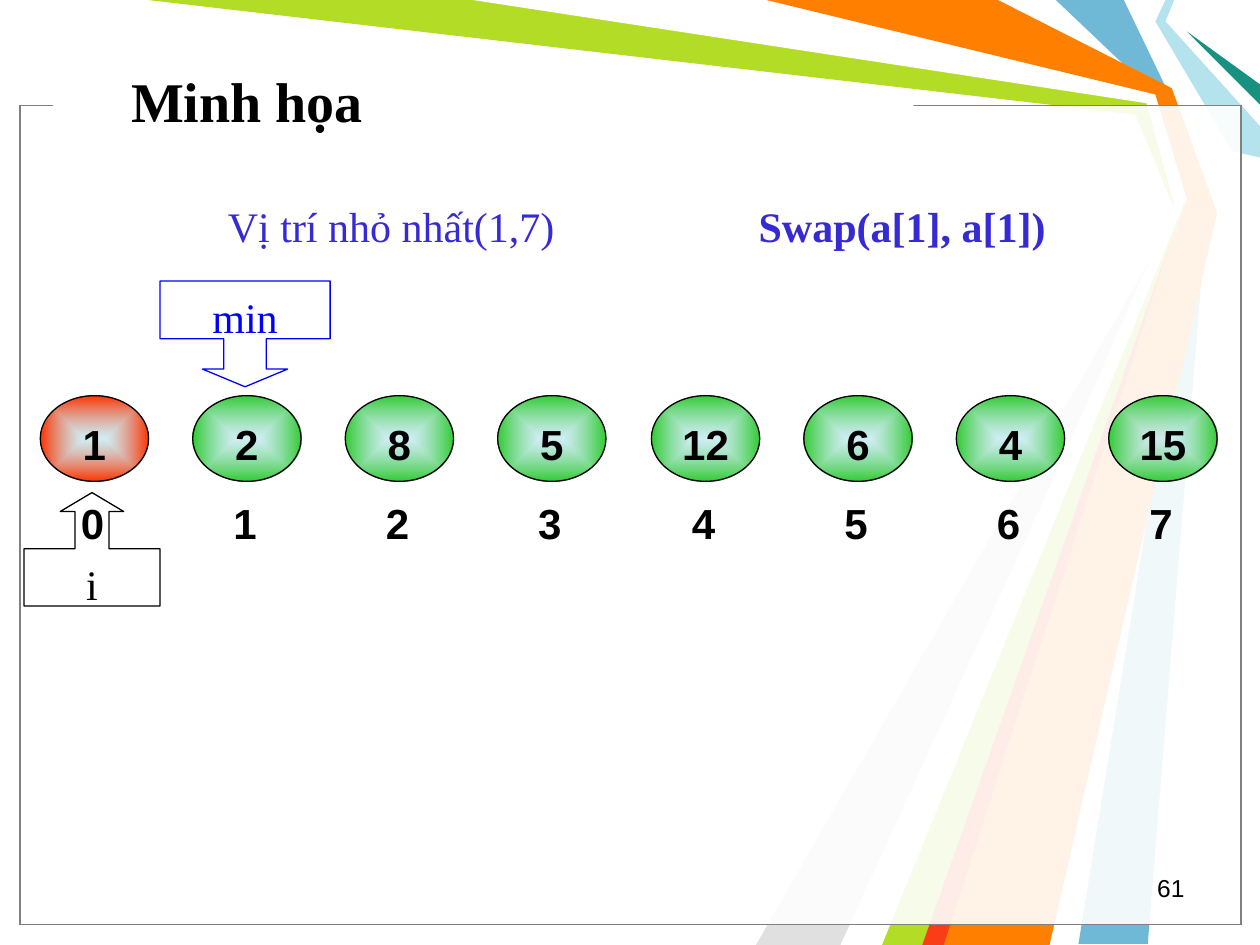
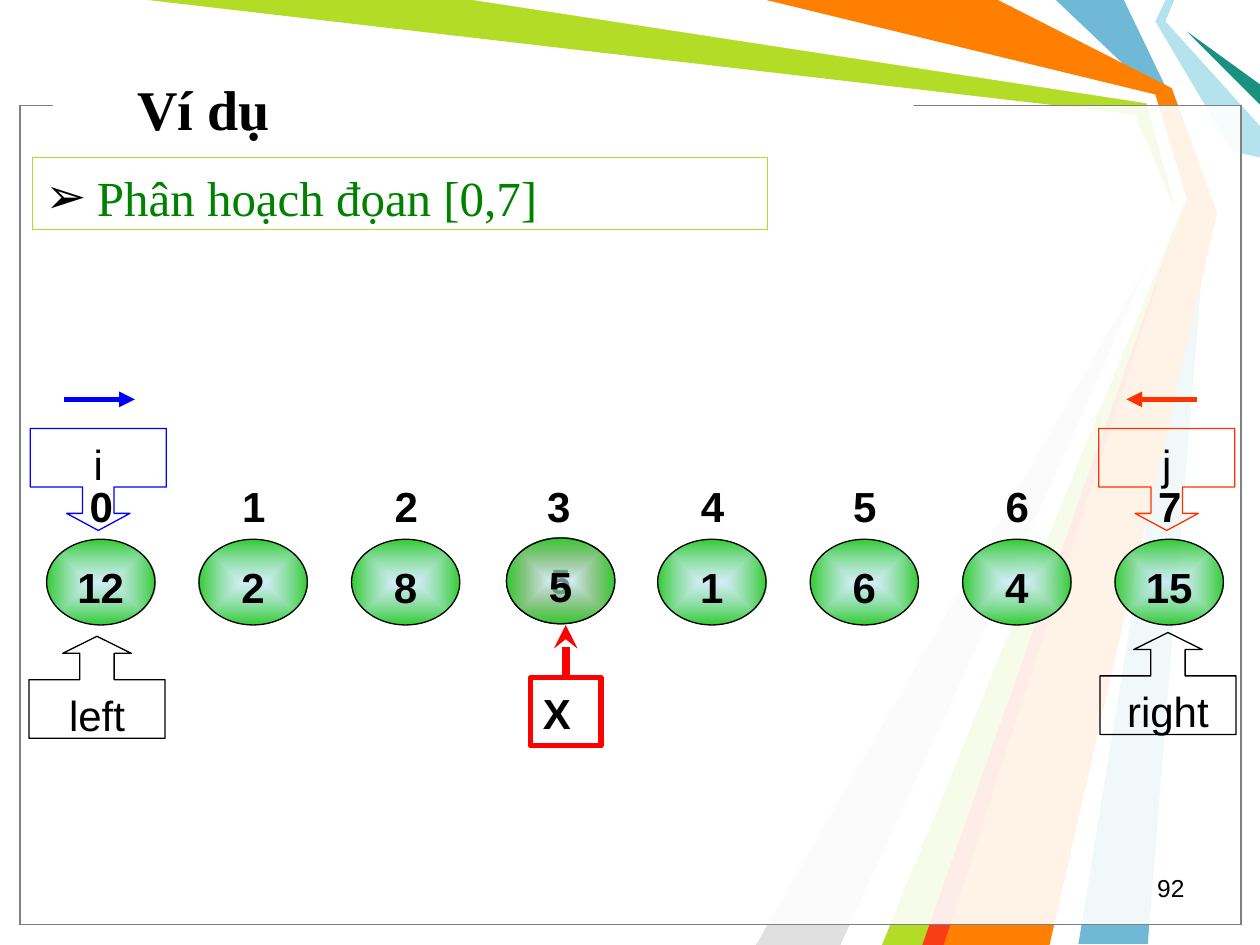
import pptx
import pptx.util
import pptx.oxml
import pptx.oxml.ns
import pptx.dml.color
import pptx.enum.shapes
import pptx.enum.text
from dataclasses import dataclass

PX = 9144
KIND = pptx.enum.shapes.MSO_SHAPE
SIDE = pptx.enum.text.PP_ALIGN
HOLD = pptx.enum.text.MSO_ANCHOR


@dataclass(frozen=True)
class Theme:
    serif: str = "Times New Roman"
    sans: str = "Arial"
    black: str = "000000"
    white: str = "FFFFFF"
    gray: str = "808080"
    blue: str = "0000FF"
    red: str = "FF3300"
    pure: str = "FF0000"
    ember: str = "FB2603"
    green: str = "33CC33"
    lime: str = "B3DC27"
    leaf: str = "008200"
    violet: str = "362AD4"
    ice: str = "B4E3EE"
    sky: str = "6FB9D7"
    silver: str = "E0E0E0"
    teal: str = "189180"
    orange: str = "FF7F00"
    flame: str = "F93D17"
    head: int = 32
    list: int = 28
    text: int = 24
    small: int = 20
    foot: int = 14
    thin: float = 0.75
    bold: float = 3
    heavy: float = 4.5


T = Theme()

RAYS = [
    (T.sky, [(892, 0), (929, 77), (958, 167), (911, 749), (856, 749), (950, 167), (917, 75), (838, 0)]),
    (T.lime, [(117, 0), (383, 0), (914, 78), (942, 169), (742, 750), (692, 750), (935, 173), (901, 91)]),
    (T.silver, [(667, 750), (927, 181), (600, 750)]),
    (T.white, [(375, 0), (910, 82), (932, 162), (675, 750), (700, 750), (941, 158), (917, 75), (600, 0)]),
    (T.ice, [(925, 0), (917, 17), (978, 120), (1000, 125), (1000, 100), (925, 17), (932, 0)]),
    (T.teal, [(1000, 83), (942, 25), (1000, 67)]),
    (T.orange, [(608, 0), (792, 0), (930, 70), (966, 169), (833, 750), (733, 750), (942, 158), (917, 75)]),
    (T.flame, [(732, 750), (932, 183), (749, 750)]),
]
FRAME = (16, 84, 969, 650)
GAP = (42, 74, 683, 17)
PAGE = (717, 687, 233, 33)
ROW = 848
NODE = (86, 68)
MARK = (87, 66)
UP, DOWN = KIND.UP_ARROW_CALLOUT, KIND.DOWN_ARROW_CALLOUT
RISE = (0.336, 0.336, 0.167, 0.575)
FALL = (0.31, 0.31, 0.167, 0.575)

SORT = {
    "title": "Minh họa", "head": (94, 17, 689, 125), "page": "61",
    "nodes": ["1", "2", "8", "5", "12", "6", "4", "15"],
    "start": (32, 314), "marks": (30, 377), "done": [0], "skip": [],
    "calls": [
        ("i", UP, (19, 391, 108, 90), (0.301, 0.28, 0.167, 0.505), T.black, T.black, T.serif),
        ("min", DOWN, (127, 223, 135, 84), (0.402, 0.402, 0.167, 0.546), T.blue, T.blue, T.serif),
    ],
    "arrows": [],
}
STEPS = [
    ("Vị trí nhỏ nhất(1,7)", (139, 151, 343, 50), False),
    ("Swap(a[1], a[1])", (539, 151, 354, 50), True),
]
PART = {
    "title": "Ví dụ", "head": (99, 47, 689, 78), "page": "92",
    "nodes": ["12", "2", "8", "5", "1", "6", "4", "15"],
    "start": (37, 428), "marks": (37, 364), "done": [], "skip": [3],
    "calls": [
        ("left", UP, (23, 505, 108, 81), RISE, T.black, T.black, T.sans),
        ("right", UP, (873, 502, 108, 81), RISE, T.black, T.black, T.sans),
        ("i", DOWN, (24, 340, 108, 81), FALL, T.blue, T.black, T.sans),
        ("j", DOWN, (872, 340, 108, 81), FALL, T.red, T.black, T.sans),
    ],
    "arrows": [((51, 317), (107, 317), T.blue), ((950, 317), (894, 317), T.red)],
}
TASK = ("Phân hoạch đọan [0,7]", (26, 125, 583, 57))
PIVOT = ("5", (402, 427) + NODE)
KEY = ("X", (421, 538, 56, 54))
TIP = (449, 496)


def rgb(code):
    return pptx.dml.color.RGBColor.from_string(code)


def emu(box):
    return [n * PX for n in box]


def xml(text):
    space = pptx.oxml.ns.nsdecls("a")
    return pptx.oxml.parse_xml(text.replace(">", f" {space}>", 1) if "/>" not in text.split(">")[0] + ">"
                               else text.replace("/>", f" {space}/>", 1))


def place(shape, box):
    shape.left, shape.top, shape.width, shape.height = emu(box)


def write(shape, text, size=T.text, font=T.sans, color=T.black, bold=False,
          align=SIDE.CENTER, anchor=HOLD.TOP, inset=8):
    frame = shape.text_frame
    frame.text = text
    frame.word_wrap = True
    frame.auto_size = pptx.enum.text.MSO_AUTO_SIZE.NONE
    frame.vertical_anchor = anchor
    frame.margin_left = frame.margin_right = 10 * PX
    frame.margin_top, frame.margin_bottom = inset * PX, 0
    para = frame.paragraphs[0]
    para.alignment = align
    para.space_before = pptx.util.Pt(0)
    for run in para.runs:
        run.font.size = pptx.util.Pt(size)
        run.font.name = font
        run.font.bold = bold
        run.font.color.rgb = rgb(color)


def paint(shape, fill=None, line=None, width=T.thin):
    shape.shadow.inherit = False
    if fill:
        shape.fill.solid()
        shape.fill.fore_color.rgb = rgb(fill)
    else:
        shape.fill.background()
    if line:
        shape.line.color.rgb = rgb(line)
        shape.line.width = pptx.util.Pt(width)
    else:
        shape.line.fill.background()


def draw(slide, kind, box, fill=None, line=None, width=T.thin):
    shape = slide.shapes.add_shape(kind, *emu(box))
    paint(shape, fill, line, width)
    return shape


def glow(shape, inner, outer, alpha=100):
    old = shape.element.xpath("./p:spPr/a:noFill")[0]
    old.getparent().replace(old, xml(
        f'<a:gradFill rotWithShape="1"><a:gsLst>'
        f'<a:gs pos="0"><a:srgbClr val="{inner}"><a:alpha val="{alpha * 1000}"/></a:srgbClr></a:gs>'
        f'<a:gs pos="100000"><a:srgbClr val="{outer}"/></a:gs></a:gsLst>'
        f'<a:path path="shape"><a:fillToRect l="50000" t="50000" r="50000" b="50000"/></a:path>'
        f'</a:gradFill>'))


def ball(slide, text, box, color=T.green):
    shape = draw(slide, KIND.OVAL, box, line=T.black)
    glow(shape, T.ice, color, 60)
    write(shape, text, bold=True)


def arrow(slide, start, end, color, width=T.bold, head="triangle"):
    link = slide.shapes.add_connector(pptx.enum.shapes.MSO_CONNECTOR.STRAIGHT, *emu(start + end))
    link.line.color.rgb = rgb(color)
    link.line.width = pptx.util.Pt(width)
    link.get_or_add_ln().append(xml(f'<a:tailEnd type="{head}"/>'))
    link.element.spPr.append(xml("<a:effectLst/>"))
    return link


def adorn(slide, master):
    parts = []
    for color, points in RAYS:
        path = slide.shapes.build_freeform(*points[0], scale=PX)
        path.add_line_segments(points[1:], close=True)
        ray = path.convert_to_shape()
        paint(ray, color)
        parts.append(ray)
    for edge in (T.black, T.gray):
        pane = draw(slide, KIND.RECTANGLE, FRAME, T.white, edge)
        tint = pane.element.xpath("./p:spPr/a:solidFill/a:srgbClr")[0]
        tint.append(xml('<a:alpha val="69000"/>'))
        parts.append(pane)
    parts.append(draw(slide, KIND.RECTANGLE, GAP, T.white))
    for num, part in enumerate(parts, 100):
        part.element.xpath(".//p:cNvPr")[0].set("id", str(num))
        master.shapes.element.append(part.element)


def array(slide, data):
    title = slide.shapes.title
    place(title, data["head"])
    write(title, data["title"], T.head, T.serif, bold=True,
          align=SIDE.LEFT, anchor=HOLD.MIDDLE, inset=0)
    page = slide.shapes.add_textbox(*emu(PAGE))
    write(page, data["page"], T.foot, align=SIDE.RIGHT, inset=6)
    last = len(data["nodes"]) - 1
    for num, value in enumerate(data["nodes"]):
        step = round(ROW * num / last)
        (left, top), (side, base) = data["start"], data["marks"]
        if num not in data["skip"]:
            color = T.red if num in data["done"] else T.green
            ball(slide, value, (left + step, top) + NODE, color)
        mark = draw(slide, KIND.OVAL, (side + step, base) + MARK)
        write(mark, str(num), bold=True)
    for text, kind, box, bends, edge, color, font in data["calls"]:
        call = draw(slide, kind, box, line=edge)
        for num, bend in enumerate(bends):
            call.adjustments[num] = bend
        write(call, text, font=font, color=color)
    for start, end, color in data["arrows"]:
        arrow(slide, start, end, color)


def pivot(slide):
    text, box = PIVOT
    under = draw(slide, KIND.OVAL, box, line=T.black)
    glow(under, T.white, T.ember)
    write(under, text, T.small, bold=True, anchor=HOLD.MIDDLE, inset=0)
    name, spot = KEY
    key = draw(slide, KIND.RECTANGLE, spot, line=T.pure, width=T.bold)
    write(key, name, bold=True, align=SIDE.LEFT)
    link = arrow(slide, (TIP[0], spot[1]), TIP, T.pure, T.heavy, "stealth")
    link.begin_connect(key, 0)
    ball(slide, text, box)


def task(slide):
    text, box = TASK
    body = slide.placeholders[1]
    place(body, box)
    body.fill.background()
    body.line.color.rgb = rgb(T.lime)
    body.line.width = pptx.util.Pt(T.thin)
    body.text_frame.text = text
    write(body, text, T.list, T.serif, T.leaf, align=SIDE.LEFT)
    props = body.text_frame.paragraphs[0]._p.get_or_add_pPr()
    props.set("marL", str(41 * PX))
    props.set("indent", str(-41 * PX))
    for mark in (f'<a:buClr><a:srgbClr val="{T.black}"/></a:buClr>',
                 f'<a:buFont typeface="{T.sans}"/>', '<a:buChar char="➢"/>'):
        props.append(xml(mark))


def main():
    deck = pptx.Presentation()
    deck.slide_width, deck.slide_height = emu((1000, 750))
    first = deck.slides.add_slide(deck.slide_layouts[5])
    adorn(first, deck.slide_master)
    array(first, SORT)
    for text, box, bold in STEPS:
        step = draw(first, KIND.RECTANGLE, box, T.white)
        write(step, text, font=T.serif, color=T.violet, bold=bold)
    second = deck.slides.add_slide(deck.slide_layouts[1])
    array(second, PART)
    pivot(second)
    task(second)
    deck.save("out.pptx")


if __name__ == "__main__":
    main()
